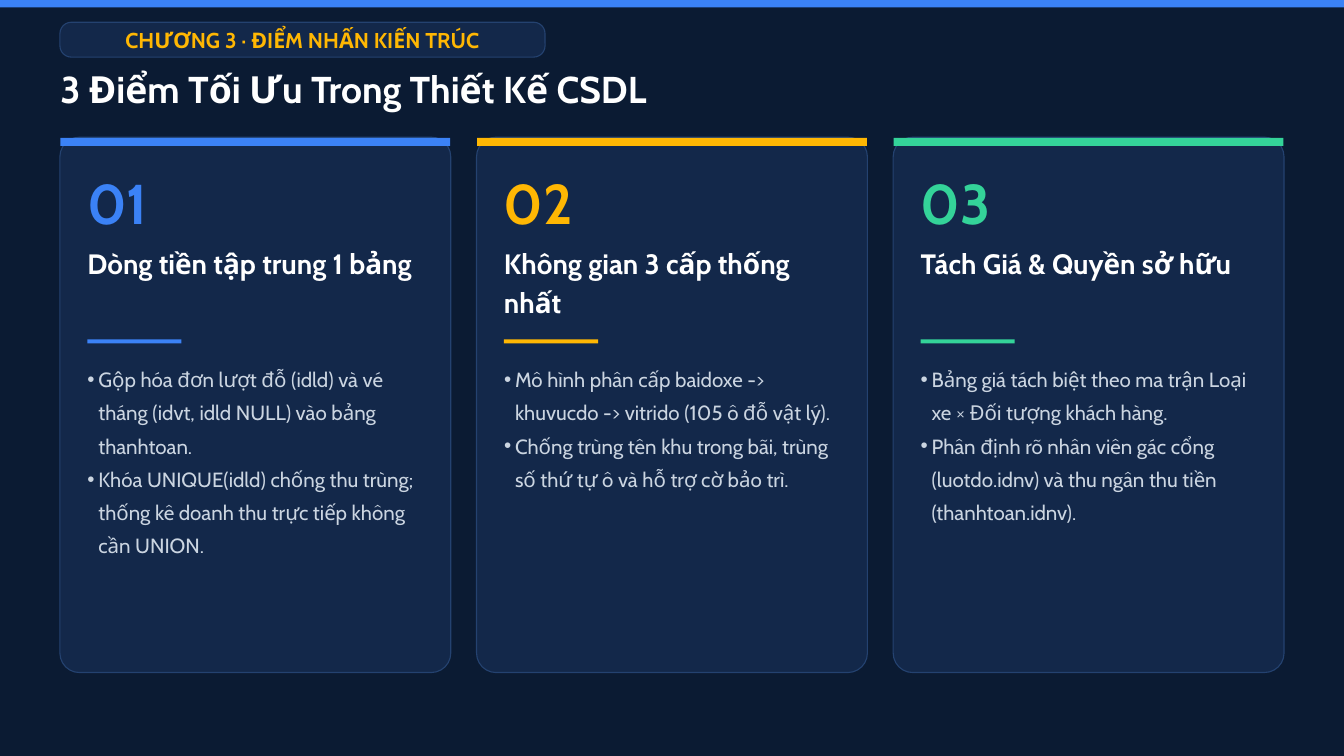
from dataclasses import dataclass
from typing import Optional

from lxml.etree import SubElement
from pptx import Presentation
from pptx.dml.color import RGBColor
from pptx.enum.shapes import MSO_SHAPE as Preset
from pptx.enum.text import MSO_ANCHOR as Anchor
from pptx.enum.text import MSO_AUTO_SIZE as AutoSize
from pptx.enum.text import PP_ALIGN as Align
from pptx.oxml.ns import qn
from pptx.shapes.autoshape import Shape
from pptx.slide import Slide
from pptx.util import Pt


@dataclass(frozen=True)
class TextStyle:
    size: float
    leading: float
    color: str
    bold: bool = True


@dataclass(frozen=True)
class Theme:
    font: str = "Cabin"
    background: str = "0B1B33"
    panel: str = "13284A"
    border: str = "244270"
    blue: str = "3B82F6"
    amber: str = "FFB703"
    green: str = "34D399"
    badge: TextStyle = TextStyle(23, 27.6, "FFB703")
    title: TextStyle = TextStyle(40, 55.2, "FFFFFF")
    heading: TextStyle = TextStyle(30, 41.4, "FFFFFF")
    points: TextStyle = TextStyle(22, 35.7, "CBD5E1", False)

    def number(self, accent: str) -> TextStyle:
        return TextStyle(60, 82.8, accent)


@dataclass(frozen=True)
class Box:
    left: float
    top: float
    width: float
    height: float


@dataclass(frozen=True)
class Highlight:
    accent: str
    heading: str
    points: tuple[str, ...]


THEME = Theme()
MARGIN = 64.8
CARD_WIDTH, CARD_PITCH = 417.6, 446.4
CARD_PADDING = 28.8
BULLET_INDENT = 11.8

HIGHLIGHTS = (
    Highlight(THEME.blue, "Dòng tiền tập trung 1 bảng", (
        "Gộp hóa đơn lượt đỗ (idld) và vé tháng (idvt, idld NULL) vào bảng thanhtoan.",
        "Khóa UNIQUE(idld) chống thu trùng; thống kê doanh thu trực tiếp không cần UNION.",
    )),
    Highlight(THEME.amber, "Không gian 3 cấp thống nhất", (
        "Mô hình phân cấp baidoxe -> khuvucdo -> vitrido (105 ô đỗ vật lý).",
        "Chống trùng tên khu trong bãi, trùng số thứ tự ô và hỗ trợ cờ bảo trì.",
    )),
    Highlight(THEME.green, "Tách Giá & Quyền sở hữu", (
        "Bảng giá tách biệt theo ma trận Loại xe × Đối tượng khách hàng.",
        "Phân định rõ nhân viên gác cổng (luotdo.idnv) và thu ngân thu tiền (thanhtoan.idnv).",
    )),
)


def place(shape: Shape, box: Box) -> None:
    shape.left, shape.top = Pt(box.left), Pt(box.top)
    shape.width, shape.height = Pt(box.width), Pt(box.height)


def write(shape: Shape, text: str, style: TextStyle, align: Align = Align.LEFT,
          anchor: Anchor = Anchor.TOP, inset: float = 0) -> None:
    frame = shape.text_frame
    frame.text = text
    frame.word_wrap = True
    frame.auto_size = AutoSize.NONE
    frame.vertical_anchor = anchor
    frame.margin_left = frame.margin_right = Pt(inset)
    frame.margin_top = frame.margin_bottom = Pt(inset)
    for paragraph in frame.paragraphs:
        paragraph.alignment = align
        paragraph.line_spacing = Pt(style.leading)
        paragraph.space_before = paragraph.space_after = Pt(0)
        for run in paragraph.runs:
            run.font.name = THEME.font
            run.font.size = Pt(style.size)
            run.font.bold = style.bold
            run.font.color.rgb = RGBColor.from_string(style.color)


def add_bullets(shape: Shape) -> None:
    for paragraph in shape.text_frame.paragraphs:
        properties = paragraph._p.get_or_add_pPr()
        properties.set("marL", str(Pt(BULLET_INDENT)))
        properties.set("indent", str(-Pt(BULLET_INDENT)))
        SubElement(properties, qn("a:buChar")).set("char", "•")


def add_block(slide: Slide, box: Box, fill: str, radius: Optional[float] = None) -> Shape:
    """A plain bar, or a bordered rounded panel when a radius is given."""
    preset = Preset.RECTANGLE if radius is None else Preset.ROUNDED_RECTANGLE
    block = slide.shapes.add_shape(preset, 0, 0, 0, 0)
    place(block, box)
    block.shadow.inherit = False
    block.fill.solid()
    block.fill.fore_color.rgb = RGBColor.from_string(fill)
    if radius is None:
        block.line.fill.background()
    else:
        block.adjustments[0] = radius / min(box.width, box.height)
        block.line.color.rgb = RGBColor.from_string(THEME.border)
        block.line.width = Pt(1.2)
    return block


def add_label(slide: Slide, box: Box, text: str, style: TextStyle) -> None:
    label = slide.shapes.add_textbox(0, 0, 0, 0)
    place(label, box)
    write(label, text, style)


def bring_to_front(shape: Shape) -> None:
    element = shape.element
    element.getparent().append(element)


def add_card(slide: Slide, index: int, item: Highlight, points: Shape) -> None:
    left = MARGIN + index * CARD_PITCH
    inner = left + CARD_PADDING
    inner_width = CARD_WIDTH - 2 * CARD_PADDING

    # Panel and accent bar
    add_block(slide, Box(left - 0.6, 147, CARD_WIDTH + 1.2, 573.6), THEME.panel, 20.9)
    add_block(slide, Box(left, 147.6, CARD_WIDTH, 8.6), item.accent)

    # Number, heading and rule
    add_label(slide, Box(inner, 169.2, 144, 82.8), f"{index + 1:02}",
              THEME.number(item.accent))
    add_label(slide, Box(inner, 259.2, inner_width, 93.6), item.heading, THEME.heading)
    add_block(slide, Box(inner, 363.6, 100.8, 4.3), item.accent)

    # Bulleted list
    place(points, Box(inner, 383.8, inner_width, 300))
    write(points, "\n".join(item.points), THEME.points)
    add_bullets(points)
    bring_to_front(points)


def main() -> None:
    deck = Presentation()
    deck.slide_width, deck.slide_height = Pt(1440), Pt(810)
    comparison_layout = deck.slide_layouts[4]
    slide = deck.slides.add_slide(comparison_layout)
    slide.background.fill.solid()
    slide.background.fill.fore_color.rgb = RGBColor.from_string(THEME.background)
    title, *bodies = slide.placeholders

    # Header
    add_block(slide, Box(0, 0, 1440, 7.9), THEME.blue)
    badge = add_block(slide, Box(MARGIN - 0.6, 23.8, 519.8, 37.4), THEME.panel, 12.2)
    write(badge, "CHƯƠNG 3 · ĐIỂM NHẤN KIẾN TRÚC", THEME.badge,
          Align.CENTER, Anchor.MIDDLE, 4.3)
    place(title, Box(MARGIN, 64.1, 1310.4, 66.2))
    write(title, "3 Điểm Tối Ưu Trong Thiết Kế CSDL", THEME.title)
    bring_to_front(title)

    # Cards
    for index, (item, points) in enumerate(zip(HIGHLIGHTS, bodies)):
        add_card(slide, index, item, points)

    # Unused body placeholders
    for spare in bodies[len(HIGHLIGHTS):]:
        spare.element.getparent().remove(spare.element)

    deck.save("out.pptx")


if __name__ == "__main__":
    main()
